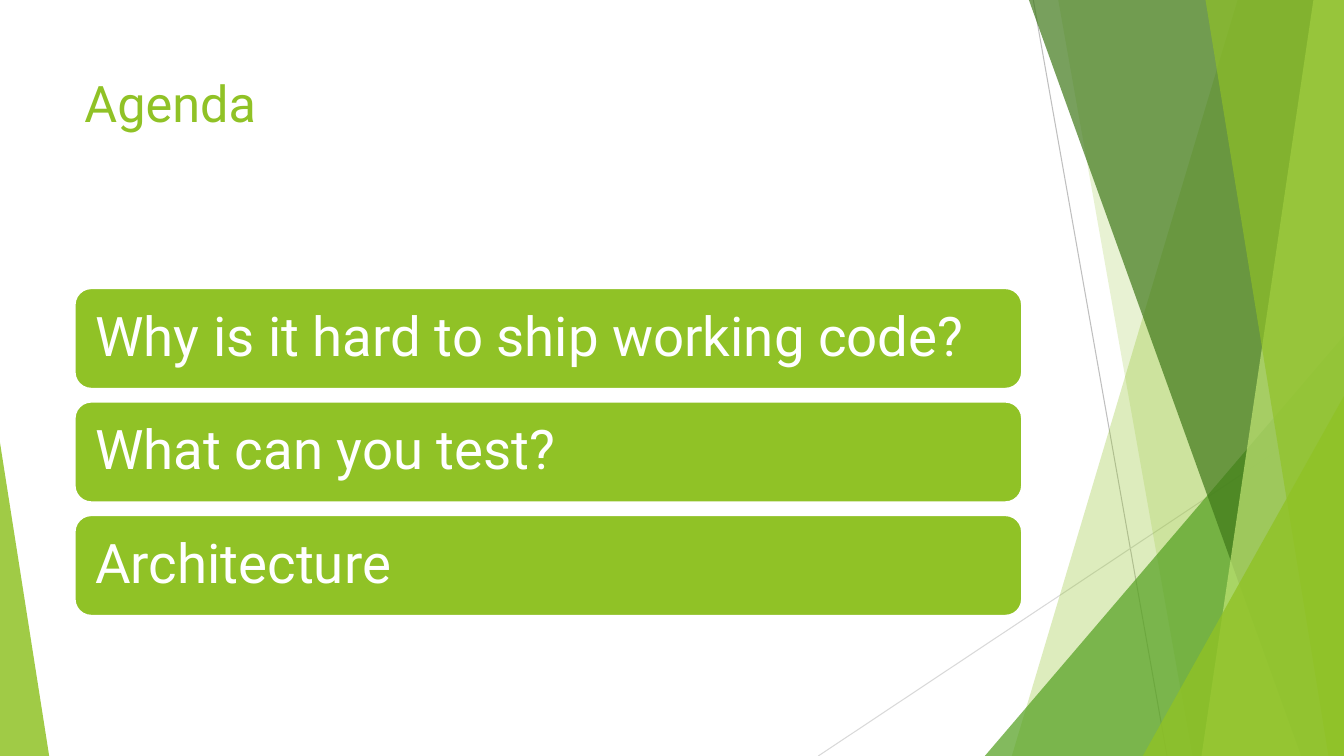
from dataclasses import dataclass

from lxml import etree
from pptx import Presentation
from pptx.dml.color import RGBColor
from pptx.enum.shapes import MSO_CONNECTOR, MSO_SHAPE
from pptx.enum.text import MSO_ANCHOR, PP_ALIGN
from pptx.oxml.ns import qn
from pptx.util import Cm, Pt

STRAIGHT = MSO_CONNECTOR.STRAIGHT
TRIANGLE = MSO_SHAPE.ISOSCELES_TRIANGLE
ROUNDED = MSO_SHAPE.ROUNDED_RECTANGLE
TOP, MIDDLE = MSO_ANCHOR.TOP, MSO_ANCHOR.MIDDLE
LEFT = PP_ALIGN.LEFT

LIME = RGBColor(0x90, 0xC2, 0x26)
GREEN = RGBColor(0x54, 0xA0, 0x21)
DARK_GREEN = RGBColor(0x3F, 0x78, 0x19)
PALE_LIME = RGBColor(0xC0, 0xE4, 0x74)
GRAY = RGBColor(0xBF, 0xBF, 0xBF)
LIGHT_GRAY = RGBColor(0xD9, 0xD9, 0xD9)
WHITE = RGBColor(0xFF, 0xFF, 0xFF)

FONT = "Roboto"
SLIDE_WIDTH, SLIDE_HEIGHT = 33.87, 19.05  # all plain lengths are in cm
CONTENT_LEFT, CONTENT_WIDTH = 1.88, 23.88
BAR_TOP, BAR_HEIGHT, BAR_PITCH = 7.26, 2.54, 2.86
TOPICS = ("Why is it hard to ship working code?", "What can you test?", "Architecture")


@dataclass
class Ray:
    start: tuple[float, float]
    end: tuple[float, float]
    color: RGBColor


@dataclass
class Band:
    """Full-height area from a slanted left edge to the slide's right edge."""
    top_x: float
    bottom_x: float
    color: RGBColor
    opacity: int


@dataclass
class Wedge:
    """Triangle standing on the slide's bottom edge; apex is 0 (left) to 1 (right)."""
    left: float
    right: float
    top: float
    apex: float
    color: RGBColor
    opacity: int


RAYS = (
    Ray((26.04, 0), (29.41, SLIDE_HEIGHT), GRAY),
    Ray((SLIDE_WIDTH, 10.24), (20.62, SLIDE_HEIGHT), LIGHT_GRAY),
)
FACETS = (
    Band(31.19, 25.5, LIME, 30),
    Band(26.67, 30.05, LIME, 20),
    Wedge(24.82, SLIDE_WIDTH, 8.46, 1, GREEN, 72),
    Band(25.93, 32.79, DARK_GREEN, 70),
    Band(33.1, 30.28, PALE_LIME, 70),
    Band(30.38, 33.48, LIME, 65),
    Wedge(28.8, SLIDE_WIDTH, 9.98, 1, LIME, 80),
    Wedge(0, 1.24, 11.15, 0, LIME, 85),
)


def draw_ray(shapes, ray: Ray) -> None:
    points = [Cm(value) for value in (*ray.start, *ray.end)]
    connector = shapes.add_connector(STRAIGHT, *points)
    connector.line.color.rgb = ray.color
    connector.line.width = Pt(0.75)
    etree.SubElement(connector._element.spPr, qn("a:effectLst"))


def add_band(shapes, band: Band):
    builder = shapes.build_freeform(Cm(band.top_x), 0)
    corners = ((SLIDE_WIDTH, 0), (SLIDE_WIDTH, SLIDE_HEIGHT), (band.bottom_x, SLIDE_HEIGHT))
    builder.add_line_segments([(Cm(x), Cm(y)) for x, y in corners], close=True)
    return builder.convert_to_shape()


def add_wedge(shapes, wedge: Wedge):
    shape = shapes.add_shape(
        TRIANGLE, Cm(wedge.left), Cm(wedge.top),
        Cm(wedge.right - wedge.left), Cm(SLIDE_HEIGHT - wedge.top))
    shape.adjustments[0] = wedge.apex
    return shape


def draw_facet(shapes, facet: Band | Wedge) -> None:
    add = add_band if isinstance(facet, Band) else add_wedge
    shape = add(shapes, facet)
    shape.shadow.inherit = False
    shape.fill.solid()
    shape.fill.fore_color.rgb = facet.color
    shape.line.fill.background()
    color = shape._element.spPr.find(f"{qn('a:solidFill')}/{qn('a:srgbClr')}")
    etree.SubElement(color, qn("a:alpha"), val=str(facet.opacity * 1000))


def write_text(shape, text: str, size: int, color: RGBColor, anchor) -> None:
    frame = shape.text_frame
    frame.word_wrap = True
    frame.vertical_anchor = anchor
    paragraph = frame.paragraphs[0]
    paragraph.text = text
    paragraph.alignment = LEFT
    paragraph.font.name = FONT
    paragraph.font.size = Pt(size)
    paragraph.font.color.rgb = color


def draw_topic(shapes, index: int, topic: str) -> None:
    bar = shapes.add_shape(
        ROUNDED, Cm(CONTENT_LEFT), Cm(BAR_TOP + index * BAR_PITCH),
        Cm(CONTENT_WIDTH), Cm(BAR_HEIGHT))
    bar.shadow.inherit = False
    bar.fill.solid()
    bar.fill.fore_color.rgb = LIME
    bar.line.color.rgb = WHITE
    bar.line.width = Pt(1.5)
    write_text(bar, topic, 39, WHITE, MIDDLE)
    bar.text_frame.margin_left = bar.text_frame.margin_right = Cm(0.4)
    bar.text_frame.paragraphs[0].line_spacing = 0.9


presentation = Presentation()
presentation.slide_width = Cm(SLIDE_WIDTH)
presentation.slide_height = Cm(SLIDE_HEIGHT)
slide = presentation.slides.add_slide(presentation.slide_layouts[6])

# Background decoration
for ray in RAYS:
    draw_ray(slide.shapes, ray)
for facet in FACETS:
    draw_facet(slide.shapes, facet)

# Title
title = slide.shapes.add_textbox(Cm(CONTENT_LEFT), Cm(1.7), Cm(CONTENT_WIDTH), Cm(3.66))
write_text(title, "Agenda", 36, LIME, TOP)

# Agenda topics
for index, topic in enumerate(TOPICS):
    draw_topic(slide.shapes, index, topic)

presentation.save("out.pptx")
